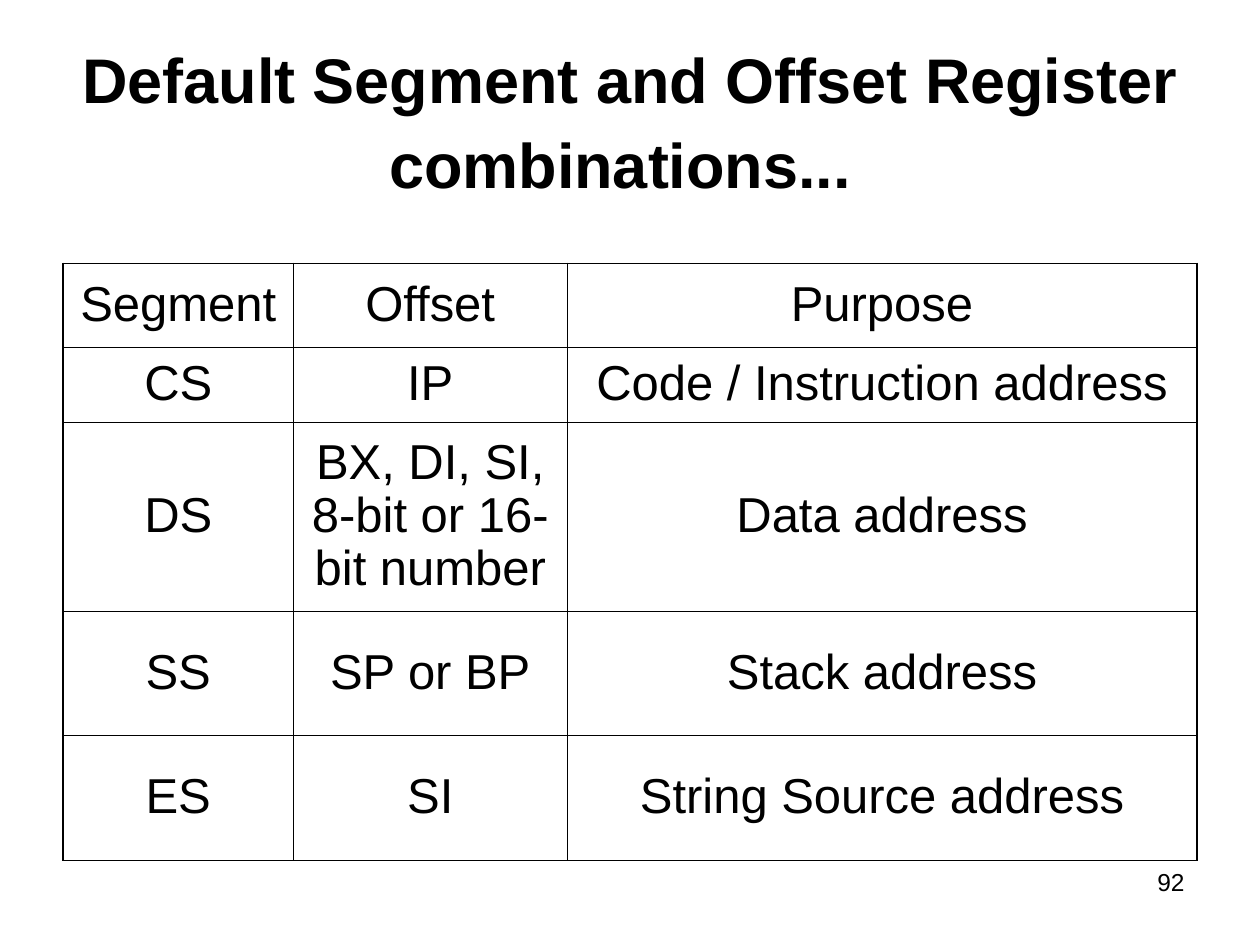
from lxml.etree import SubElement
from pptx import Presentation
from pptx.dml.color import RGBColor
from pptx.enum.text import MSO_ANCHOR, PP_ALIGN
from pptx.oxml.ns import qn
from pptx.util import Inches, Pt

FONT = "Arial"
BLACK = "000000"
THIN, THICK = 0.45, 1.08
COLUMNS = [1.83, 2.17, 5]
ROWS = [0.67, 0.59, 1.5, 0.99, 0.99]
REGISTERS = [
    ("Segment", "Offset", "Purpose"),
    ("CS", "IP", "Code / Instruction address"),
    ("DS", "BX, DI, SI, 8-bit or 16-bit number", "Data address"),
    ("SS", "SP or BP", "Stack address"),
    ("ES", "SI", "String Source address"),
]


def color(value):
    return RGBColor.from_string(value)


def add_span(para, text, size, bold=False):
    span = para.add_run()
    span.text = text
    span.font.name = FONT
    span.font.size = Pt(size)
    span.font.bold = bold
    span.font.color.rgb = color(BLACK)


def add_box(page, area, align, anchor):
    box = page.shapes.add_textbox(*(Inches(length) for length in area))
    frame = box.text_frame
    frame.word_wrap = True
    frame.vertical_anchor = anchor
    para = frame.paragraphs[0]
    para.alignment = align
    return frame, para


def add_title(page, area):
    frame, para = add_box(page, area, PP_ALIGN.CENTER, MSO_ANCHOR.MIDDLE)
    frame.margin_top = Inches(0.11)
    para.line_spacing = 1.03
    add_span(para, "Default Segment and Offset Register combinations...", 36, True)
    add_span(para, " ", 40, True)


def set_borders(cell, widths):
    properties = cell._tc.get_or_add_tcPr()
    for side, width in zip("LRTB", widths):
        line = SubElement(properties, qn(f"a:ln{side}"), w=str(Pt(width)))
        fill = SubElement(line, qn("a:solidFill"))
        SubElement(fill, qn("a:srgbClr"), val=BLACK)


def add_register_table(page, left, top):
    size = Inches(sum(COLUMNS)), Inches(sum(ROWS))
    table = page.shapes.add_table(
        len(ROWS), len(COLUMNS), Inches(left), Inches(top), *size).table
    table.first_row = table.horz_banding = False
    for column, width in zip(table.columns, COLUMNS):
        column.width = Inches(width)
    last_row, last_column = len(ROWS) - 1, len(COLUMNS) - 1
    for r, texts in enumerate(REGISTERS):
        table.rows[r].height = Inches(ROWS[r])
        for c, text in enumerate(texts):
            cell = table.cell(r, c)
            cell.vertical_anchor = MSO_ANCHOR.MIDDLE
            # Thick lines around the outside, thin lines within
            outer = (c == 0, c == last_column, r == 0, r == last_row)
            set_borders(cell, [THICK if edge else THIN for edge in outer])
            cell.fill.background()
            para = cell.text_frame.paragraphs[0]
            para.alignment = PP_ALIGN.CENTER
            para.line_spacing = 0.97
            add_span(para, text, 28)


def add_page_number(page, area):
    _, para = add_box(page, area, PP_ALIGN.RIGHT, MSO_ANCHOR.TOP)
    add_span(para, "92", 14)


def main():
    deck = Presentation()
    deck.slide_width, deck.slide_height = Inches(10), Inches(7.5)
    page = deck.slides.add_slide(deck.slide_layouts[6])
    add_title(page, (0.5, 0.3, 9, 1.25))
    add_register_table(page, 0.5, 2.09)
    add_page_number(page, (7.17, 6.83, 2.33, 0.52))
    deck.save("out.pptx")


if __name__ == "__main__":
    main()
